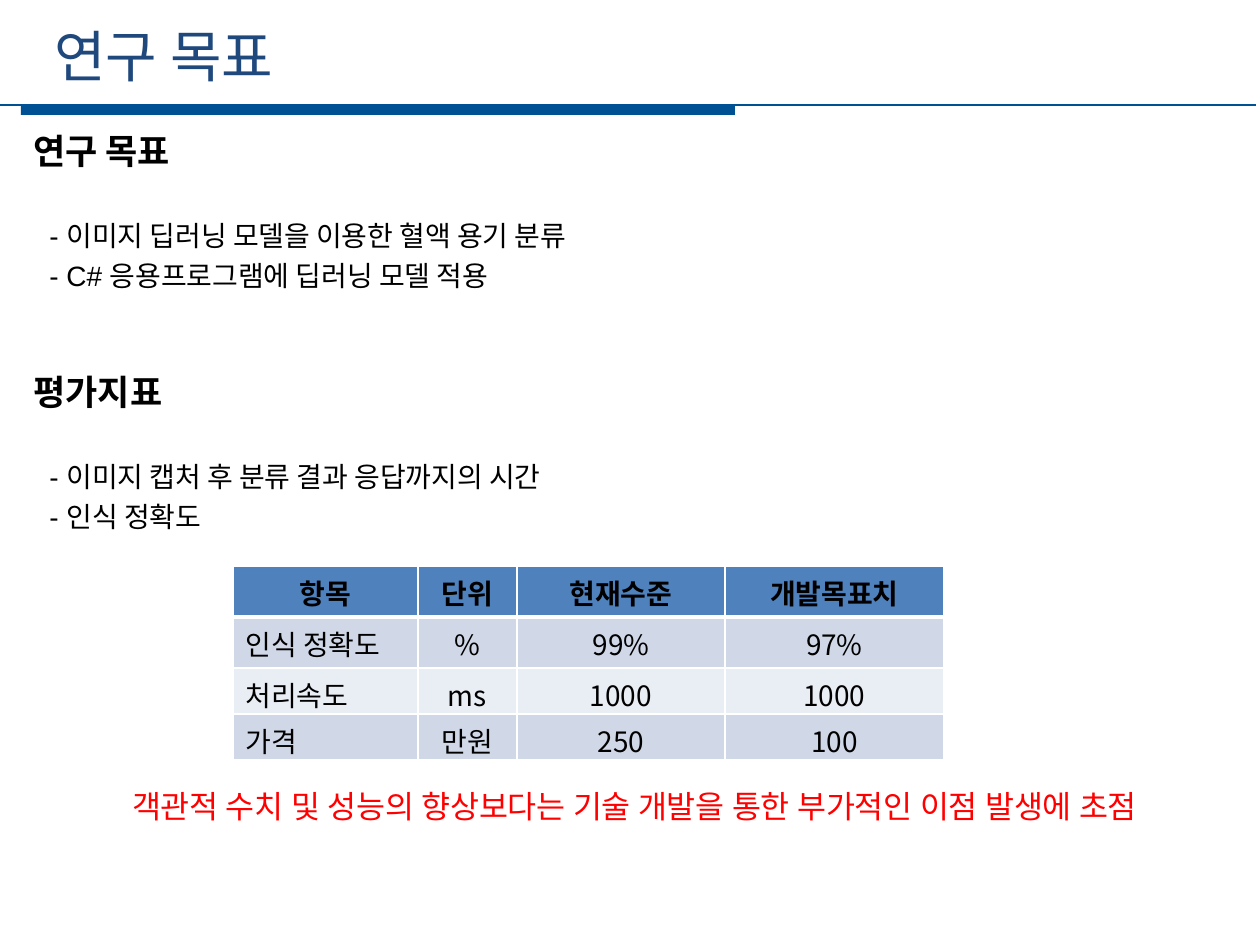
from pptx import Presentation
from pptx.dml.color import RGBColor
from pptx.enum.shapes import MSO_CONNECTOR, MSO_SHAPE
from pptx.enum.text import PP_ALIGN as ALIGN
from pptx.oxml.ns import qn
from pptx.util import Pt
from lxml.etree import SubElement

PX = 914400 // 126  # EMU per px
SANS, ARIAL = "Noto Sans CJK KR", "Arial"

BLACK = RGBColor(0, 0, 0)
WHITE = RGBColor(255, 255, 255)
RED = RGBColor(255, 0, 0)
NAVY = RGBColor(0x1F, 0x49, 0x7D)
RULE_BLUE = RGBColor(0, 0x50, 0x94)
HEADER_BLUE = RGBColor(0x4F, 0x81, 0xBD)
BANDS = RGBColor(0xD0, 0xD8, 0xE8), RGBColor(0xE9, 0xED, 0xF4)

SECTIONS = [
    ("연구 목표", ["- 이미지 딥러닝 모델을 이용한 혈액 용기 분류",
               "- C# 응용프로그램에 딥러닝 모델 적용"]),
    ("평가지표", ["- 이미지 캡처 후 분류 결과 응답까지의 시간",
              "- 인식 정확도"]),
]
ROWS = [
    ("항목", "단위", "현재수준", "개발목표치"),
    ("인식 정확도", "%", "99%", "97%"),
    ("처리속도", "ms", "1000", "1000"),
    ("가격", "만원", "250", "100"),
]
COL_WIDTHS = 185, 99, 208, 219
ROW_HEIGHTS = 51, 51, 46, 46
LINE_PT = 23


def px(*lengths):
    return [n * PX for n in lengths]


def add_run(p, text, size, color=BLACK, font=SANS, bold=False):
    r = p.add_run()
    r.text = text
    r.font.size, r.font.bold, r.font.name = Pt(size), bold, font
    r.font.color.rgb = color
    SubElement(r.font._element, qn("a:ea")).set("typeface", SANS)


def add_text_box(slide, *box):
    tf = slide.shapes.add_textbox(*px(*box)).text_frame
    tf.word_wrap = True
    return tf


def add_header_rule(slide):
    bar = slide.shapes.add_shape(MSO_SHAPE.RECTANGLE, *px(21, 105, 714, 10))
    bar.shadow.inherit = False
    bar.fill.solid()
    bar.fill.fore_color.rgb = RULE_BLUE
    bar.line.fill.background()
    line = slide.shapes.add_connector(MSO_CONNECTOR.STRAIGHT, *px(-4, 105, 1256, 105))
    line.line.color.rgb = RULE_BLUE
    line.line.width = Pt(1.25)
    SubElement(line._element.spPr, qn("a:effectLst"))


def add_sections(slide):
    tf = add_text_box(slide, 21, 125, 1194, 420)

    def add_line(text, size, lines_before, bold=False):
        p = tf.add_paragraph() if tf.text else tf.paragraphs[0]
        p.line_spacing = Pt(LINE_PT)
        p.space_before = Pt(LINE_PT * lines_before)
        add_run(p, text, size, font=ARIAL, bold=bold)
        return p

    for i, (heading, items) in enumerate(SECTIONS):
        add_line(heading, 20, 2 if i else 0, bold=True)
        for j, item in enumerate(items):
            p = add_line(item, 16, 0 if j else 1)
            p._p.get_or_add_pPr().set("marL", str(16 * PX))


def set_borders(cell, bottom_pt):
    tcPr = cell._tc.get_or_add_tcPr()
    for i, (side, width) in enumerate(zip("LRTB", (1, 1, 1, bottom_pt))):
        ln = tcPr.makeelement(qn(f"a:ln{side}"), {"w": str(Pt(width))})
        fill = SubElement(ln, qn("a:solidFill"))
        SubElement(fill, qn("a:srgbClr")).set("val", str(WHITE))
        tcPr.insert(i, ln)  # borders come before the fill


def add_target_table(slide):
    box = px(233, 566, sum(COL_WIDTHS), sum(ROW_HEIGHTS))
    table = slide.shapes.add_table(len(ROWS), len(COL_WIDTHS), *box).table
    for col, width in zip(table.columns, px(*COL_WIDTHS)):
        col.width = width
    for row, height in zip(table.rows, px(*ROW_HEIGHTS)):
        row.height = height
    for i, texts in enumerate(ROWS):
        header = i == 0
        for j, text in enumerate(texts):
            cell = table.cell(i, j)
            cell.margin_top, cell.margin_bottom = px(6, 0)
            cell.fill.solid()
            cell.fill.fore_color.rgb = HEADER_BLUE if header else BANDS[(i - 1) % 2]
            set_borders(cell, 3 if header else 1)
            p = cell.text_frame.paragraphs[0]
            p.alignment = ALIGN.CENTER if header or j else ALIGN.LEFT
            add_run(p, text, 16, bold=header)


def main():
    prs = Presentation()
    prs.slide_width, prs.slide_height = px(1260, 945)
    slide = prs.slides.add_slide(prs.slide_layouts[6])

    # Title and rule
    add_header_rule(slide)
    title = add_text_box(slide, 42, 15, 1129, 81)
    add_run(title.paragraphs[0], "연구 목표", 32, NAVY)

    # Goals, metrics and target values
    add_sections(slide)
    add_target_table(slide)

    # Closing remark
    p = add_text_box(slide, 43, 781, 1183, 50).paragraphs[0]
    p.alignment = ALIGN.CENTER
    add_run(p, "객관적 수치 및 성능의 향상보다는 기술 개발을 통한 부가적인 이점 발생에 초점", 18, RED)

    prs.save("out.pptx")


if __name__ == "__main__":
    main()
